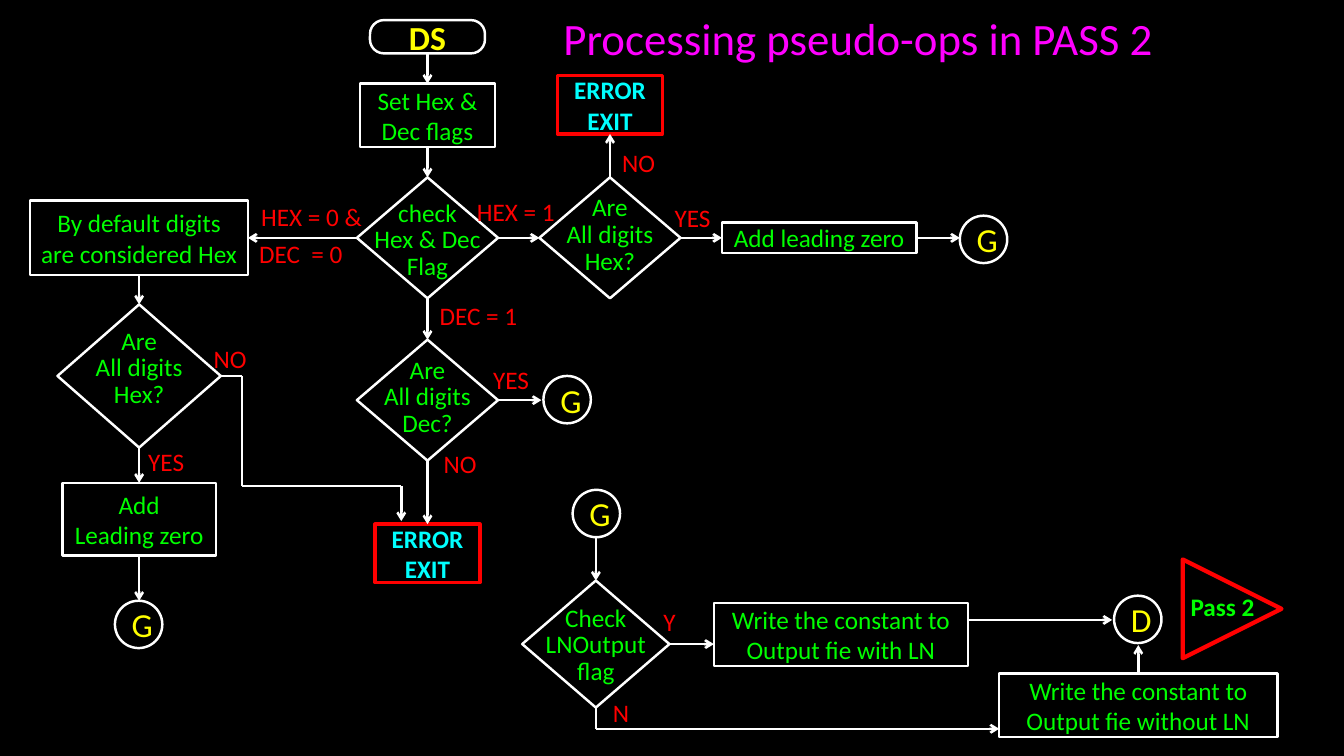
import pptx
import pptx.util
import pptx.dml.color
import pptx.enum.shapes
import pptx.enum.text
import pptx.oxml
import pptx.oxml.ns
from dataclasses import dataclass

Inches = pptx.util.Inches
Pt = pptx.util.Pt
Kind = pptx.enum.shapes.MSO_SHAPE
Align = pptx.enum.text.PP_ALIGN


@dataclass
class Theme:
    font: str = "Calibri"
    black: str = "000000"
    white: str = "FFFFFF"
    green: str = "00FF00"
    red: str = "FF0000"
    cyan: str = "00FFFF"
    yellow: str = "FFFF00"
    pink: str = "FF00FF"
    body: int = 18
    node: int = 24
    title: int = 32
    thin: float = 1.75
    bold: float = 2.5
    thick: float = 3


theme = Theme()
rgb = pptx.dml.color.RGBColor.from_string


def write(frame, text, size, color, bold=False, align=Align.CENTER, pitch=None):
    frame.word_wrap = True
    for i, line in enumerate(text.split("\n")):
        para = frame.paragraphs[0] if i == 0 else frame.add_paragraph()
        para.alignment = align
        if pitch:
            para.line_spacing = Pt(pitch)
        run = para.add_run()
        run.text = line
        run.font.name = theme.font
        run.font.size = Pt(size)
        run.font.bold = bold
        run.font.color.rgb = rgb(color)


def draw(kind, left, top, width, height, color=theme.white, weight=theme.thin):
    shape = slide.shapes.add_shape(kind, Inches(left), Inches(top), Inches(width), Inches(height))
    shape.shadow.inherit = False
    shape.fill.background()
    shape.line.color.rgb = rgb(color)
    shape.line.width = Pt(weight)
    shape.text_frame.vertical_anchor = pptx.enum.text.MSO_ANCHOR.MIDDLE
    return shape


deck = pptx.Presentation()
deck.slide_width = Inches(13.33)
deck.slide_height = Inches(7.5)
slide = deck.slides.add_slide(deck.slide_layouts[6])
slide.background.fill.solid()
slide.background.fill.fore_color.rgb = rgb(theme.black)

nodes = {}

start = draw(Kind.ROUNDED_RECTANGLE, 3.67, 0.2, 1.14, 0.33)
start.adjustments[0] = 0.416
write(start.text_frame, "DS", theme.node, theme.yellow, True)
nodes["start"] = start

for name, left, top, width, height, text in [
    ("flags", 3.57, 0.83, 1.34, 0.63, "Set Hex & Dec flags"),
    ("default", 0.3, 1.99, 2.16, 0.74, "By default digits are considered Hex"),
    ("lead", 7.16, 2.21, 1.93, 0.3, "Add leading zero"),
    ("add", 0.62, 4.79, 1.52, 0.72, "Add\nLeading zero"),
    ("with", 7.08, 5.98, 2.52, 0.63, "Write the constant to Output fie with LN"),
    ("without", 9.91, 6.68, 2.76, 0.63, "Write the constant to Output fie without LN"),
]:
    nodes[name] = draw(Kind.RECTANGLE, left, top, width, height)
    write(nodes[name].text_frame, text, theme.body, theme.green)

for name, left, top in [("error", 5.53, 0.75), ("exit", 3.72, 5.2)]:
    nodes[name] = draw(Kind.RECTANGLE, left, top, 1.04, 0.58, theme.red, theme.bold)
    write(nodes[name].text_frame, "ERROR\nEXIT", theme.body, theme.cyan, True)

for name, left, top, width, height, head, text in [
    ("check", 3.54, 1.76, 1.4, 1.2, 1.94, "check\nHex & Dec\nFlag"),
    ("hex", 5.35, 1.76, 1.4, 1.2, 1.89, "Are\nAll digits\nHex?"),
    ("dec", 3.54, 3.37, 1.4, 1.2, 3.5, "Are\nAll digits\nDec?"),
    ("digits", 0.57, 3.02, 1.62, 1.42, 3.21, "Are\nAll digits\nHex?"),
    ("output", 5.18, 5.76, 1.46, 1.26, 5.96, "Check\nLNOutput\nflag"),
]:
    nodes[name] = draw(Kind.DIAMOND, left, top, width, height)
    box = slide.shapes.add_textbox(
        Inches(left - 0.1), Inches(head), Inches(width + 0.2), Inches(0.9))
    write(box.text_frame, text, theme.body, theme.green, pitch=19)

for left, top, text in [
    (9.52, 2.14, "G"), (5.39, 3.73, "G"), (5.68, 4.86, "G"),
    (1.14, 5.96, "G"), (11.05, 5.91, "D"),
]:
    disc = draw(Kind.FLOWCHART_CONNECTOR, left, top, 0.47, 0.47)
    write(disc.text_frame, text, theme.node, theme.yellow)

TOP, LEFT, BOTTOM, RIGHT = range(4)
for tail, tip, arrow in [
    (("start", BOTTOM), ("flags", TOP), True),
    (("flags", BOTTOM), ("check", TOP), True),
    (("check", LEFT), ("default", RIGHT), True),
    (("check", RIGHT), ("hex", LEFT), True),
    (("check", BOTTOM), ("dec", TOP), True),
    (("hex", TOP), ("error", BOTTOM), True),
    (("hex", RIGHT), ("lead", LEFT), True),
    (("lead", RIGHT), (9.52, 2.36), True),
    (("dec", RIGHT), (5.37, 3.97), True),
    (("dec", BOTTOM), ("exit", TOP), True),
    (("default", BOTTOM), ("digits", TOP), True),
    (("digits", BOTTOM), ("add", TOP), True),
    (("add", BOTTOM), (1.38, 5.96), True),
    (("digits", RIGHT), (2.4, 3.73), False),
    ((2.4, 3.73), (2.4, 4.82), False),
    ((2.4, 4.82), (3.98, 4.82), False),
    ((3.98, 4.82), (3.98, 5.17), True),
    ((5.91, 5.33), ("output", TOP), True),
    (("output", RIGHT), (7.08, 6.39), True),
    (("output", BOTTOM), (5.91, 7.23), False),
    ((5.91, 7.23), (9.91, 7.23), True),
    ((9.6, 6.15), (11.03, 6.15), True),
    (("without", TOP), (11.29, 6.4), True),
]:
    line = slide.shapes.add_connector(pptx.enum.shapes.MSO_CONNECTOR.STRAIGHT, 0, 0, 0, 0)
    if tail[0] in nodes:
        line.begin_connect(nodes[tail[0]], tail[1])
    else:
        line.begin_x, line.begin_y = map(Inches, tail)
    if tip[0] in nodes:
        line.end_connect(nodes[tip[0]], tip[1])
    else:
        line.end_x, line.end_y = map(Inches, tip)
    line.line.color.rgb = rgb(theme.white)
    line.line.width = Pt(theme.thin)
    if arrow:
        end = pptx.oxml.parse_xml(
            '<a:tailEnd %s type="arrow"/>' % pptx.oxml.ns.nsdecls("a"))
        line.line._get_or_add_ln().append(end)
    props = line._element.spPr
    props.append(pptx.oxml.parse_xml("<a:effectLst %s/>" % pptx.oxml.ns.nsdecls("a")))

for left, top, width, text in [
    (6.17, 1.46, 0.54, "NO"), (6.69, 2.01, 0.43, "YES"),
    (4.73, 1.95, 0.85, "HEX = 1"), (4.36, 2.98, 0.85, "DEC = 1"),
    (2.59, 2, 1.28, "HEX = 0 &"), (2.57, 2.36, 1.08, "DEC  = 0"),
    (4.89, 3.61, 0.43, "YES"), (4.4, 4.45, 0.54, "NO"),
    (2.12, 3.41, 0.43, "NO"), (1.47, 4.43, 0.48, "YES"),
    (6.58, 6.02, 0.56, "Y"), (6.08, 6.92, 0.43, "N"),
]:
    box = slide.shapes.add_textbox(Inches(left), Inches(top), Inches(width), Inches(0.3))
    frame = box.text_frame
    frame.margin_left = frame.margin_right = frame.margin_top = frame.margin_bottom = 0
    write(frame, text, theme.body, theme.red, align=Align.LEFT)

flag = draw(Kind.FLOWCHART_EXTRACT, 11.73, 5.55, 0.98, 0.98, theme.red, theme.thick)
flag.rotation = 90
flag.fill.solid()
flag.fill.fore_color.rgb = rgb(theme.black)
box = slide.shapes.add_textbox(Inches(11.71), Inches(5.82), Inches(0.93), Inches(0.4))
write(box.text_frame, "Pass 2", theme.body, theme.green, True, Align.LEFT)

box = slide.shapes.add_textbox(Inches(5.49), Inches(0.06), Inches(6.2), Inches(0.64))
write(box.text_frame, "Processing pseudo-ops in PASS 2", theme.title, theme.pink, align=Align.LEFT)

deck.save("out.pptx")
